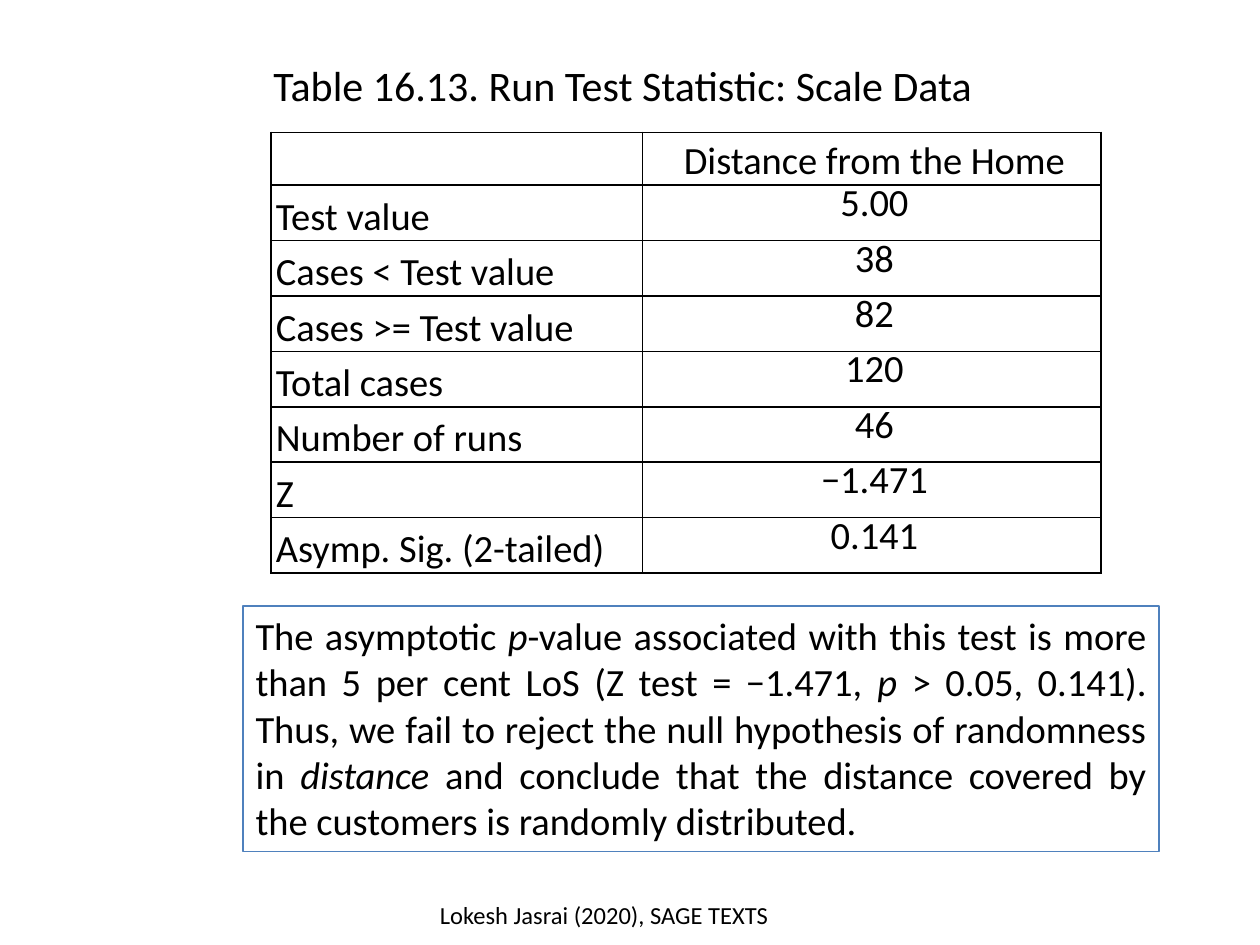
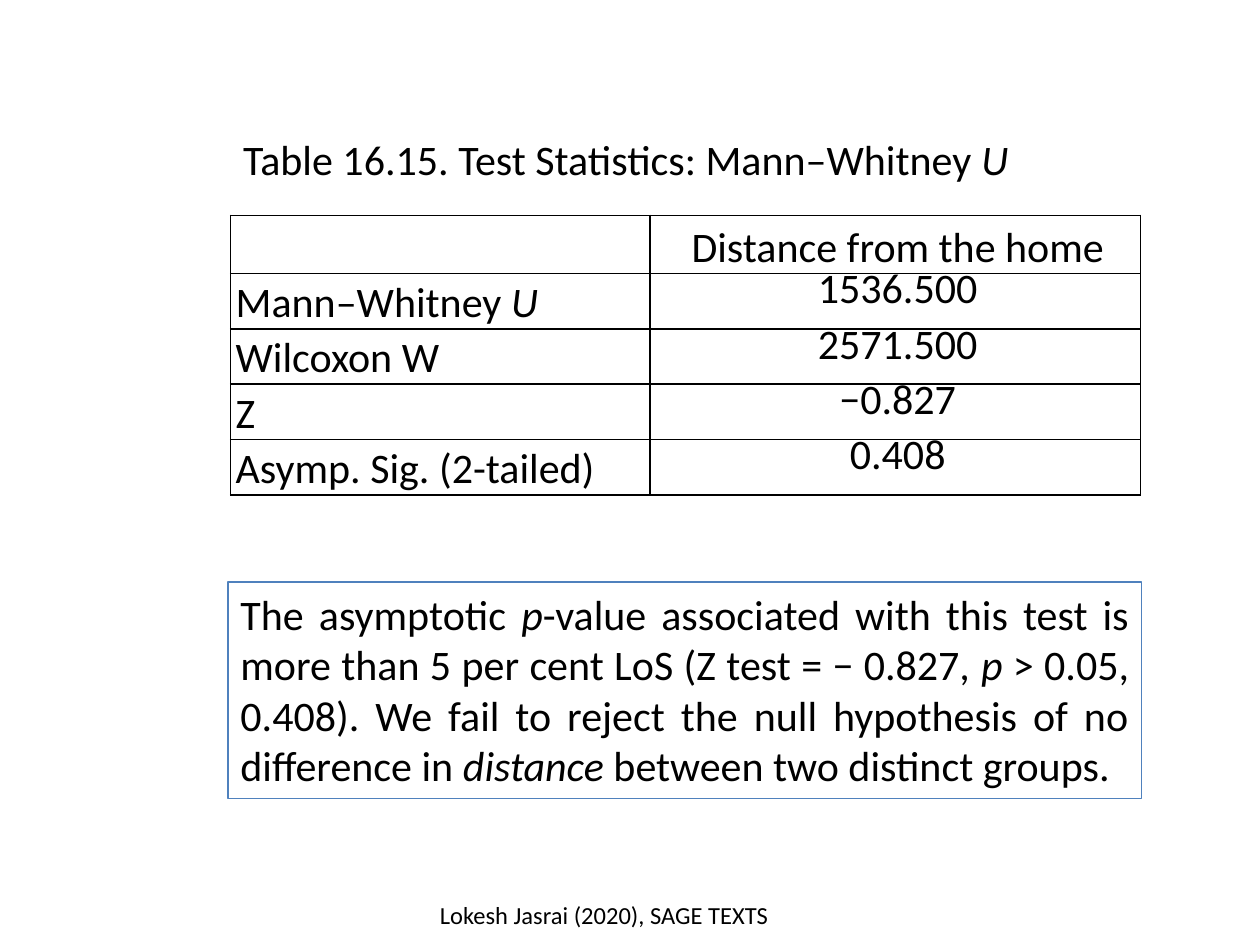
from lxml import etree
from pptx import Presentation
from pptx.dml.color import RGBColor
from pptx.enum.shapes import MSO_SHAPE
from pptx.enum.text import MSO_ANCHOR, MSO_AUTO_SIZE, PP_ALIGN
from pptx.oxml.ns import qn
from pptx.util import Inches, Pt

BLACK = RGBColor(0x00, 0x00, 0x00)
BLUE = RGBColor(0x4F, 0x81, 0xBD)
FONT = "Calibri"
LEFT, CENTER, JUSTIFY = PP_ALIGN.LEFT, PP_ALIGN.CENTER, PP_ALIGN.JUSTIFY
TOP, MIDDLE, BOTTOM = MSO_ANCHOR.TOP, MSO_ANCHOR.MIDDLE, MSO_ANCHOR.BOTTOM
RECT = MSO_SHAPE.RECTANGLE
NO_AUTOFIT = MSO_AUTO_SIZE.NONE

TITLE_ONLY = 5
TITLE_SIZE = 24
FOOTER_SIZE = 14
FOOTER = "Lokesh Jasrai (2020), SAGE TEXTS"
FOOTER_BOX = (3.01, 7.09, 3.57, 0.4)
ROW_HEIGHT = 0.44

RUN_TEST = {
    "title": "Table 16.13. Run Test Statistic: Scale Data",
    "title_box": (2.07, 0.42, 6.54, 0.5),
    "table_at": (2.15, 1.05),
    "columns": (2.95, 3.64),
    "header_height": 0.42,
    "header": "Distance from the Home",
    "rows": [
        ("Test value", "5.00"),
        ("Cases < Test value", "38"),
        ("Cases >= Test value", "82"),
        ("Total cases", "120"),
        ("Number of runs", "46"),
        ("Z", "−1.471"),
        ("Asymp. Sig. (2-tailed)", "0.141"),
    ],
    "note": "The asymptotic *p*-value associated with this test is more than "
            "5 per cent LoS (Z test = −1.471, *p* > 0.05, 0.141). Thus, we fail "
            "to reject the null hypothesis of randomness in *distance* and "
            "conclude that the distance covered by the customers is randomly "
            "distributed.",
    "note_box": (1.93, 4.81, 7.27, 1.95),
    "size": 22,
}

MANN_WHITNEY = {
    "title": "Table 16.15. Test Statistics: Mann–Whitney *U*",
    "title_box": (1.83, 1.01, 6.33, 0.5),
    "table_at": (1.83, 1.71),
    "columns": (3.33, 3.89),
    "header_height": 0.46,
    "header": "Distance from the home",
    "rows": [
        ("Mann–Whitney *U*", "1536.500"),
        ("Wilcoxon W", "2571.500"),
        ("Z", "−0.827"),
        ("Asymp. Sig. (2-tailed)", "0.408"),
    ],
    "note": "The asymptotic *p*-value associated with this test is more than "
            "5 per cent LoS (Z test = − 0.827, *p* > 0.05, 0.408). We fail to "
            "reject the null hypothesis of no difference in *distance* between "
            "two distinct groups.",
    "note_box": (1.81, 4.62, 7.25, 1.72),
    "size": 24,
}


def inches(box):
    return [Inches(v) for v in box]


def write(tf, text, size, align=LEFT, anchor=TOP):
    """Fill a text frame; parts between asterisks are italic."""
    tf.word_wrap = True
    tf.vertical_anchor = anchor
    p = tf.paragraphs[0]
    p.alignment = align
    for i, part in enumerate(text.split("*")):
        if part:
            r = p.add_run()
            r.text = part
            r.font.name = FONT
            r.font.size = Pt(size)
            r.font.color.rgb = BLACK
            r.font.italic = i % 2 == 1
    return p


def add_title(s, text, box):
    sp = s.shapes.title
    sp.left, sp.top, sp.width, sp.height = inches(box)
    write(sp.text_frame, text, TITLE_SIZE, anchor=MIDDLE)
    sp.text_frame.auto_size = NO_AUTOFIT


def set_borders(cell):
    tc_pr = cell._tc.get_or_add_tcPr()
    for i, side in enumerate(("lnL", "lnR", "lnT", "lnB")):
        ln = etree.Element(qn(f"a:{side}"), w=str(Pt(1)))
        fill = etree.SubElement(ln, qn("a:solidFill"))
        etree.SubElement(fill, qn("a:srgbClr"), val=str(BLACK))
        tc_pr.insert(i, ln)


def write_cell(cell, text, size, align, anchor):
    cell.margin_left = cell.margin_right = 0
    cell.margin_top = cell.margin_bottom = 0
    p = write(cell.text_frame, text, size, align)
    cell.vertical_anchor = anchor
    p.line_spacing = Pt(16)
    p._p.get_or_add_pPr().set("marL", str(Inches(0.04)))


def add_statistics(s, at, columns, header_height, header, rows, size):
    heights = [header_height] + [ROW_HEIGHT] * len(rows)
    box = (*at, sum(columns), sum(heights))
    table = s.shapes.add_table(len(heights), len(columns), *inches(box)).table
    table.first_row = table.horz_banding = False
    for column, width in zip(table.columns, columns):
        column.width = Inches(width)
    for row, height in zip(table.rows, heights):
        row.height = Inches(height)
    for cell in table.iter_cells():
        cell.fill.background()
        set_borders(cell)

    write_cell(table.cell(0, 1), header, size, CENTER, BOTTOM)
    for i, (label, value) in enumerate(rows, start=1):
        write_cell(table.cell(i, 0), label, size, LEFT, BOTTOM)
        write_cell(table.cell(i, 1), value, size, CENTER, MIDDLE)


def add_note(s, text, box, size):
    sp = s.shapes.add_shape(RECT, *inches(box))
    sp.shadow.inherit = False
    sp.fill.background()
    sp.line.color.rgb = BLUE
    sp.line.width = Pt(0.75)
    write(sp.text_frame, text, size, JUSTIFY)


def add_footer(s):
    sp = s.shapes.add_textbox(*inches(FOOTER_BOX))
    write(sp.text_frame, FOOTER, FOOTER_SIZE, CENTER)


def add_test_slide(prs, test):
    s = prs.slides.add_slide(prs.slide_layouts[TITLE_ONLY])
    add_title(s, test["title"], test["title_box"])
    add_statistics(s, test["table_at"], test["columns"], test["header_height"],
                   test["header"], test["rows"], test["size"])
    add_note(s, test["note"], test["note_box"], test["size"])
    add_footer(s)


def main():
    prs = Presentation()
    prs.slide_width, prs.slide_height = Inches(10), Inches(7.5)
    for test in (RUN_TEST, MANN_WHITNEY):
        add_test_slide(prs, test)
    prs.save("out.pptx")


if __name__ == "__main__":
    main()
